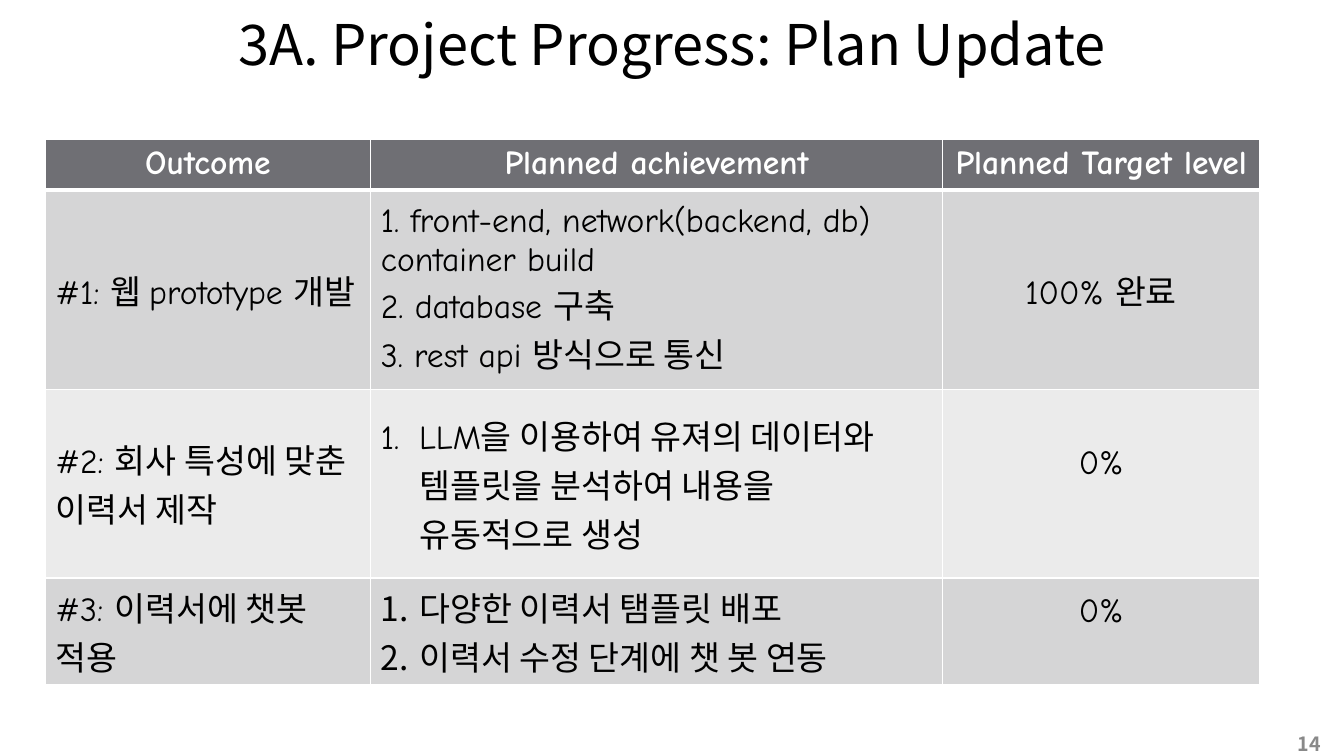
from dataclasses import dataclass

from lxml import etree
from pptx import Presentation
from pptx.dml.color import RGBColor
from pptx.enum.text import MSO_ANCHOR, PP_ALIGN
from pptx.oxml.ns import qn
from pptx.util import Emu, Inches, Pt

LEFT, CENTER = PP_ALIGN.LEFT, PP_ALIGN.CENTER
TOP, MIDDLE = MSO_ANCHOR.TOP, MSO_ANCHOR.MIDDLE
WIDTH, HEIGHT = Inches(13.33), Inches(7.5)
HANGUL_FONT, LATIN_FONT = "Noto Sans CJK KR", "Comic Neue"
BLACK, WHITE, GRAY = "000000", "FFFFFF", "898989"
HEADER_FILL, DARK_BAND, LIGHT_BAND = "6F6F74", "D5D5D6", "EBEBEB"

COLUMN_SHARES = (24.23, 42.53, 23.63)
ROW_SHARES = (5.73, 26.4, 24.93, 14.1)
NUMBER_INDENT = 2.85
RAISED_MARGIN = 5.9


@dataclass(frozen=True)
class Area:
    left: float
    top: float
    width: float
    height: float


@dataclass(frozen=True)
class Entry:
    lines: tuple[str, ...]
    align: PP_ALIGN = LEFT
    numbered: bool = False
    raised: bool = False


TITLE_AREA = Area(0, -0.4, 100, 12.27)
NUMBER_AREA = Area(94.88, 96.4, 5.12, 4)
TABLE_AREA = Area(3.36, 18.45, sum(COLUMN_SHARES), sum(ROW_SHARES))

HEADINGS = tuple(
    Entry((name,), CENTER)
    for name in ("Outcome", "Planned achievement", "Planned Target level")
)
OUTCOMES = (
    (
        Entry(("#1: 웹 prototype 개발",)),
        Entry((
            "1. front-end, network(backend, db) container build",
            "2. database 구축",
            "3. rest api 방식으로 통신",
        )),
        Entry(("100% 완료",), CENTER),
    ),
    (
        Entry(("#2: 회사 특성에 맞춘 이력서 제작",)),
        Entry(
            ("LLM을 이용하여 유져의 데이터와 템플릿을 분석하여 내용을 유동적으로 생성",),
            numbered=True,
        ),
        Entry(("0%",), CENTER, raised=True),
    ),
    (
        Entry(("#3: 이력서에 챗봇 적용",)),
        Entry(
            ("다양한 이력서 탬플릿 배포", "이력서 수정 단계에 챗 봇 연동"),
            numbered=True,
        ),
        Entry(("0%",), CENTER, raised=True),
    ),
)


def across(share: float) -> Emu:
    return Emu(round(WIDTH * share / 100))


def down(share: float) -> Emu:
    return Emu(round(HEIGHT * share / 100))


def place(area: Area) -> tuple[Emu, Emu, Emu, Emu]:
    return across(area.left), down(area.top), across(area.width), down(area.height)


def color(value: str) -> RGBColor:
    return RGBColor.from_string(value)


def write(para, text: str, *, size: float, font: str, ink: str,
          bold: bool = False, align: PP_ALIGN = LEFT) -> None:
    para.alignment = align
    span = para.add_run()
    span.text = text
    span.font.size = Pt(size)
    span.font.name = font
    span.font.bold = bold
    span.font.color.rgb = color(ink)
    east_asian = etree.SubElement(span.font._element, qn("a:ea"))
    east_asian.set("typeface", HANGUL_FONT)


def number(para) -> None:
    properties = para._p.get_or_add_pPr()
    indent = across(NUMBER_INDENT)
    properties.set("marL", str(indent))
    properties.set("indent", str(-indent))
    etree.SubElement(properties, qn("a:buAutoNum"), type="arabicPeriod")


def border(cell, side: str, points: float) -> None:
    line = etree.SubElement(
        cell._tc.get_or_add_tcPr(), qn(f"a:ln{side}"), w=str(Pt(points))
    )
    fill = etree.SubElement(line, qn("a:solidFill"))
    etree.SubElement(fill, qn("a:srgbClr"), val=WHITE)


def add_text(page, area: Area, text: str, **style) -> None:
    frame = page.shapes.add_textbox(*place(area)).text_frame
    frame.word_wrap = True
    frame.vertical_anchor = MIDDLE
    write(frame.paragraphs[0], text, font=HANGUL_FONT, align=CENTER, **style)


def fill_cell(cell, entry: Entry, row: int) -> None:
    header = row == 0
    cell.vertical_anchor = TOP if header else MIDDLE
    if entry.raised:
        cell.margin_bottom = down(RAISED_MARGIN)
    for index, text in enumerate(entry.lines):
        frame = cell.text_frame
        para = frame.add_paragraph() if index else frame.paragraphs[0]
        write(para, text, size=24, font=LATIN_FONT, bold=header,
              ink=WHITE if header else BLACK, align=entry.align)
        if entry.numbered:
            number(para)
    heavy_side = {0: "B", 1: "T"}.get(row)
    for side in "LRTB":
        border(cell, side, 3 if side == heavy_side else 1)
    cell.fill.solid()
    band = DARK_BAND if row % 2 else LIGHT_BAND
    cell.fill.fore_color.rgb = color(HEADER_FILL if header else band)


def add_plan(page) -> None:
    entries = (HEADINGS, *OUTCOMES)
    table = page.shapes.add_table(
        len(ROW_SHARES), len(COLUMN_SHARES), *place(TABLE_AREA)
    ).table
    for column, share in zip(table.columns, COLUMN_SHARES):
        column.width = across(share)
    for row, share in zip(table.rows, ROW_SHARES):
        row.height = down(share)
    for row, line in enumerate(entries):
        for column, entry in enumerate(line):
            fill_cell(table.cell(row, column), entry, row)


def main() -> None:
    deck = Presentation()
    deck.slide_width, deck.slide_height = WIDTH, HEIGHT
    page = deck.slides.add_slide(deck.slide_layouts[6])
    add_text(page, TITLE_AREA, "3A. Project Progress: Plan Update", size=40, ink=BLACK)
    add_text(page, NUMBER_AREA, "14", size=14, ink=GRAY, bold=True)
    add_plan(page)
    deck.save("out.pptx")


if __name__ == "__main__":
    main()
